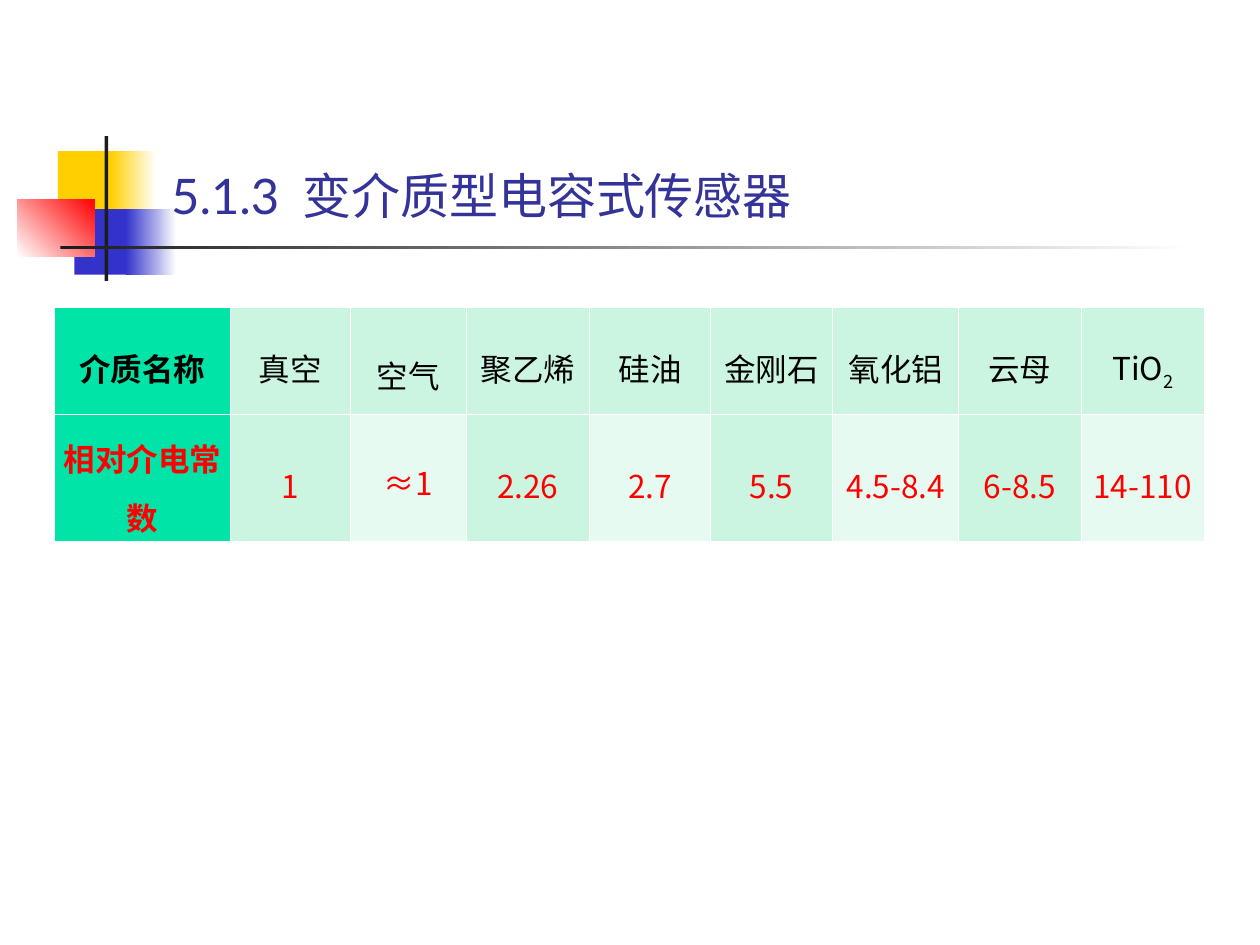
from lxml.etree import SubElement
from pptx import Presentation
from pptx.dml.color import RGBColor as RGB
from pptx.enum.shapes import MSO_SHAPE as SHAPE
from pptx.enum.text import MSO_ANCHOR as ANCHOR, PP_ALIGN as ALIGN
from pptx.oxml.ns import qn
from pptx.util import Inches as In, Pt

THEME = dict(
    yellow="FFCF01", blue="3333CC", red="FF0000", dark="1C1C1C", white="FFFFFF",
    title="333399", name="000000", value="FF0000",
    head="00E4A8", band="CBF5E1", light="E7FAF1",
    title_size=28, cell_size=18, border=0.45,
    latin="Lato", cjk="Noto Sans CJK SC",
)
TITLE = ("5.1.3", " ", "变介质型电容式传感器")
MEDIA = [
    ("介质名称", "相对介电常数", 1.4),
    ("真空", "1", 0.95),
    ("空气", "≈1", 0.92),
    ("聚乙烯", "2.26", 0.98),
    ("硅油", "2.7", 0.96),
    ("金刚石", "5.5", 0.97),
    ("氧化铝", "4.5-8.4", 1),
    ("云母", "6-8.5", 0.97),
    ("TiO_2", "14-110", 0.98),
]
ROW_HEIGHTS = (0.85, 1.01)
AIR = 2
ORNAMENT = [
    ((0.46, 1.2, 0.48, 0.52), ("yellow",), 0),
    ((0.88, 1.2, 0.36, 0.52), ("yellow", "white"), 0),
    ((0.59, 1.66, 0.46, 0.52), ("blue",), 0),
    ((1, 1.66, 0.4, 0.52), ("blue", "white"), 0),
    ((0.14, 1.58, 0.61, 0.46), ("white", "red"), 45),
    ((0.83, 1.08, 0.03, 1.15), ("dark",), 0),
    ((0.48, 1.95, 9, 0.03), ("dark", "white"), 0),
]


def color(key):
    return RGB.from_string(THEME[key])


def set_font(p, latin, size, key, bold=False):
    p.font.size = Pt(THEME[size])
    p.font.bold = bold
    p.font.color.rgb = color(key)
    p.font.name = THEME[latin]
    SubElement(p._p.pPr.find(qn("a:defRPr")), qn("a:ea"), typeface=THEME["cjk"])


def add_block(s, box, keys, angle):
    sp = s.shapes.add_shape(SHAPE.RECTANGLE, *map(In, box))
    sp.shadow.inherit = False
    sp.line.fill.background()
    if len(keys) == 1:
        sp.fill.solid()
        sp.fill.fore_color.rgb = color(keys[0])
        return
    sp.fill.gradient()
    sp.fill.gradient_angle = angle
    for stop, key in zip(sp.fill.gradient_stops, keys):
        stop.color.rgb = color(key)


def add_title(s):
    tf = s.shapes.add_textbox(In(1.26), In(0.23), In(8.52), In(1.6)).text_frame
    tf.word_wrap = True
    tf.vertical_anchor = ANCHOR.BOTTOM
    p = tf.paragraphs[0]
    for text in TITLE:
        r = p.add_run()
        r.text = text
        if text == " ":
            r._r.get_or_add_rPr().set("spc", "600")
    set_font(p, "latin", "title_size", "title")


def add_borders(cell):
    tcPr = cell._tc.get_or_add_tcPr()
    for side in ("lnL", "lnR", "lnT", "lnB"):
        ln = SubElement(tcPr, qn(f"a:{side}"), w=str(Pt(THEME["border"])))
        fill = SubElement(ln, qn("a:solidFill"))
        SubElement(fill, qn("a:srgbClr"), val=THEME["white"])


def fill_cell(cell, text, row, col):
    add_borders(cell)
    shade = "head" if col == 0 else "light" if row and col % 2 == 0 else "band"
    cell.fill.solid()
    cell.fill.fore_color.rgb = color(shade)
    cell.margin_left = cell.margin_right = In(0.04)
    cell.margin_top = cell.margin_bottom = In(0.05)
    p = cell.text_frame.paragraphs[0]
    p.alignment = ALIGN.CENTER
    if col == AIR:
        cell.margin_top = In(0.35)
        cell.vertical_anchor = ANCHOR.TOP
    else:
        cell.vertical_anchor = ANCHOR.MIDDLE
        p.line_spacing = 1.3
    base, _, sub = text.partition("_")
    p.add_run().text = base
    if sub:
        r = p.add_run()
        r.text = sub
        r._r.get_or_add_rPr().set("baseline", "-25000")
    set_font(p, "cjk", "cell_size", "value" if row else "name", col == 0)


def add_media_table(s):
    width = sum(m[2] for m in MEDIA)
    table = s.shapes.add_table(len(ROW_HEIGHTS), len(MEDIA), In(0.43), In(2.44),
                               In(width), In(sum(ROW_HEIGHTS))).table
    for row, height in enumerate(ROW_HEIGHTS):
        table.rows[row].height = In(height)
    for col, medium in enumerate(MEDIA):
        table.columns[col].width = In(medium[2])
        for row in range(len(ROW_HEIGHTS)):
            fill_cell(table.cell(row, col), medium[row], row, col)


def main():
    prs = Presentation()
    prs.slide_width, prs.slide_height = In(10), In(7.5)
    s = prs.slides.add_slide(prs.slide_layouts[6])
    for block in ORNAMENT:
        add_block(s, *block)
    add_title(s)
    add_media_table(s)
    prs.save("out.pptx")


if __name__ == "__main__":
    main()
